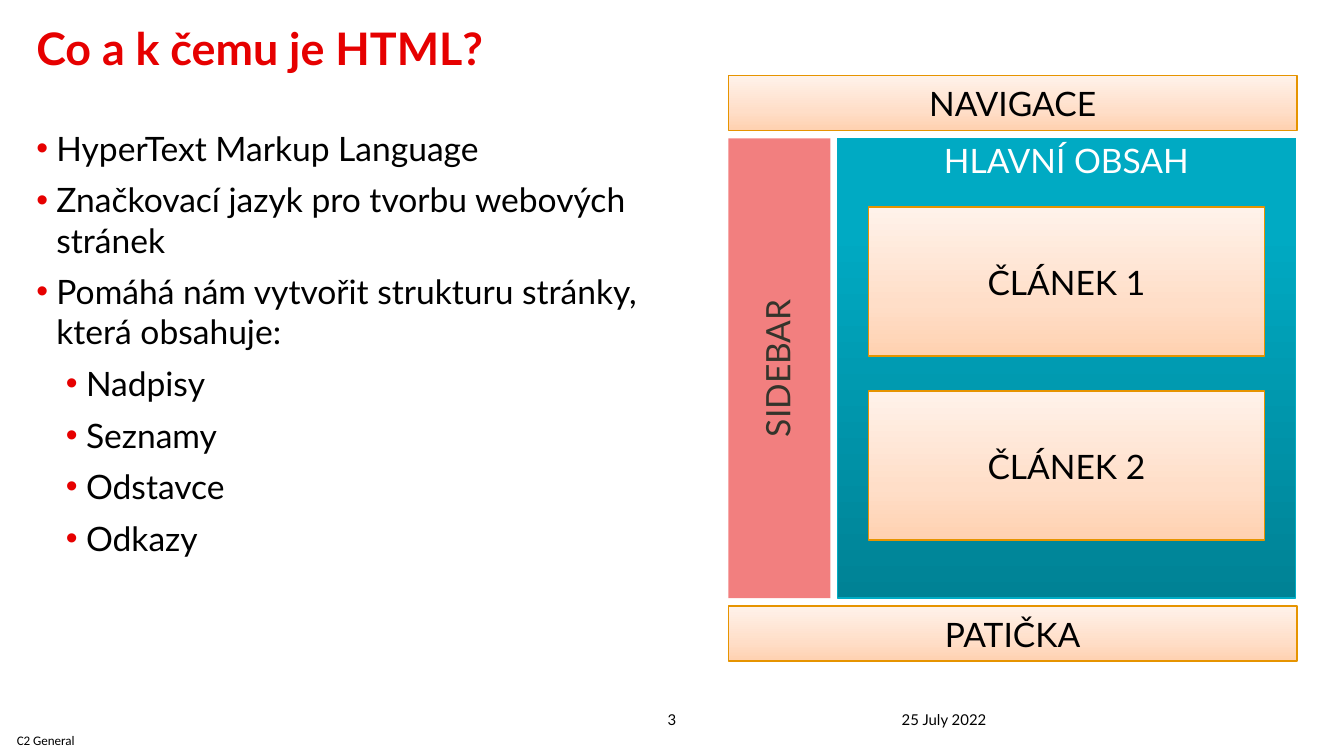
from lxml.etree import SubElement
from pptx import Presentation
from pptx.dml.color import RGBColor
from pptx.enum.shapes import MSO_SHAPE
from pptx.enum.text import MSO_ANCHOR, MSO_AUTO_SIZE, PP_ALIGN
from pptx.oxml import parse_xml
from pptx.oxml.ns import nsdecls, qn
from pptx.util import Inches, Pt

SLIDE_WIDTH = 10
SLIDE_HEIGHT = SLIDE_WIDTH * 9 / 16
COLORS = {
    "red": "E60000", "black": "000000", "white": "FFFFFF", "charcoal": "34342B",
    "orange": "E69400", "teal": "00ACC5",
}
# Gradient stops as (percent, colour), running from bottom to top
GRADIENTS = {
    "peach": [(0, "FFD1B0"), (35, "FFDEC8"), (100, "FFF2EA")],
    "teal": [(0, "008295"), (80, "00AAC3"), (100, "00ABC4")],
}
FORMATS = {
    "title": {"size": Pt(24), "name": "Lato", "bold": True},
    "text": {"size": Pt(18), "name": "Lato"},
    "footer": {"size": Pt(8), "name": "Lato"},
    "label": {"size": Pt(7), "name": "Calibri"},
}
BULLETS = [
    (0, "HyperText Markup Language"),
    (0, "Značkovací jazyk pro tvorbu webových stránek"),
    (0, "Pomáhá nám vytvořit strukturu stránky, která obsahuje:"),
    (1, "Nadpisy"),
    (1, "Seznamy"),
    (1, "Odstavce"),
    (1, "Odkazy"),
]
INDENTS = [0.15, 0.37]


def place(shape, box):
    for side, length in zip(("left", "top", "width", "height"), box):
        setattr(shape, side, Inches(length))


def set_frame(frame, anchor=MSO_ANCHOR.TOP, inset=0, wrap=True):
    settings = {"auto_size": MSO_AUTO_SIZE.NONE, "word_wrap": wrap, "vertical_anchor": anchor}
    for side in ("left", "top", "right", "bottom"):
        settings[f"margin_{side}"] = Inches(inset)
    for name, value in settings.items():
        setattr(frame, name, value)


def write(paragraph, text, style, color="black", align=PP_ALIGN.LEFT):
    paragraph.alignment = align
    run = paragraph.add_run()
    run.text = text
    for name, value in FORMATS[style].items():
        setattr(run.font, name, value)
    run.font.color.rgb = RGBColor.from_string(COLORS[color])


def add_bullet(paragraph, indent):
    properties = paragraph._p.get_or_add_pPr()
    properties.set("marL", str(Inches(indent)))
    properties.set("indent", str(-Inches(INDENTS[0])))
    bullet_color = SubElement(properties, qn("a:buClr"))
    SubElement(bullet_color, qn("a:srgbClr"), val=COLORS["red"])
    SubElement(properties, qn("a:buFont"), typeface="Arial")
    SubElement(properties, qn("a:buChar"), char="•")


def fill_gradient(shape, stops):
    marks = "".join(
        f'<a:gs pos="{percent * 1000}"><a:srgbClr val="{color}"/></a:gs>'
        for percent, color in stops
    )
    gradient = parse_xml(
        f'<a:gradFill {nsdecls("a")} rotWithShape="1"><a:gsLst>{marks}</a:gsLst>'
        '<a:lin ang="16200000" scaled="0"/></a:gradFill>'
    )
    shape._element.spPr.find(qn("a:prstGeom")).addnext(gradient)


def add_block(slide, box, text, color="black", anchor=MSO_ANCHOR.MIDDLE):
    block = slide.shapes.add_shape(MSO_SHAPE.RECTANGLE, *map(Inches, box))
    block.shadow.inherit = False
    set_frame(block.text_frame, anchor, 0.01)
    write(block.text_frame.paragraphs[0], text, "text", color, PP_ALIGN.CENTER)
    return block


def add_gradient_block(slide, box, text, gradient="peach", line="orange", **options):
    block = add_block(slide, box, text, **options)
    fill_gradient(block, GRADIENTS[gradient])
    block.line.color.rgb = RGBColor.from_string(COLORS[line])
    block.line.width = Pt(0.75)


def add_sidebar(slide, box):
    # Turned a quarter, so width and height swap around the same centre
    left, top, width, height = box
    shift = (height - width) / 2
    sidebar = add_block(slide, (left - shift, top + shift, height, width), "SIDEBAR", "charcoal")
    sidebar.rotation = 270
    sidebar.text_frame.paragraphs[0].line_spacing = 0.9
    sidebar.fill.solid()
    sidebar.fill.fore_color.rgb = RGBColor.from_string(COLORS["red"])
    color = sidebar._element.spPr.find(qn("a:solidFill")).find(qn("a:srgbClr"))
    SubElement(color, qn("a:alpha"), val="50000")
    sidebar.line.fill.background()


def add_page_layout(slide, box):
    left, top, width, height = box
    bar, gap, side = 0.41, 0.06, 0.76
    middle_top = top + bar + gap
    middle_height = height - 2 * (bar + gap)
    main_left = left + side + 0.05
    main_width = width - side - gap

    # Navigation, sidebar and main content
    add_gradient_block(slide, (left, top, width, bar), "NAVIGACE")
    add_sidebar(slide, (left, middle_top, side, middle_height))
    add_gradient_block(
        slide, (main_left, middle_top, main_width, middle_height), "HLAVNÍ OBSAH",
        "teal", "teal", color="white", anchor=MSO_ANCHOR.TOP,
    )

    # Articles inside the main content
    inset = 0.23
    for index in range(2):
        article_top = middle_top + 0.51 + index * 1.37
        article = (main_left + inset, article_top, main_width - 2 * inset, 1.11)
        add_gradient_block(slide, article, f"ČLÁNEK {index + 1}")

    # Page footer
    add_gradient_block(slide, (left, top + height - bar, width, bar), "PATIČKA")


def fill_title(slide, box):
    title = slide.shapes.title
    place(title, box)
    set_frame(title.text_frame)
    heading = title.text_frame.paragraphs[0]
    write(heading, "Co a k čemu je HTML?", "title", "red")
    heading.line_spacing = 0.8


def fill_body(slide, box):
    body = slide.placeholders[1]
    place(body, box)
    frame = body.text_frame
    set_frame(frame)
    for index, (level, text) in enumerate(BULLETS):
        item = frame.add_paragraph() if index else frame.paragraphs[0]
        item.level = level
        add_bullet(item, INDENTS[level])
        item.space_before = Pt(6 if index else 0)
        write(item, text, "text")


def add_note(slide, box, text, style, anchor, align, wrap=True):
    note = slide.shapes.add_textbox(*map(Inches, box))
    set_frame(note.text_frame, anchor, wrap=wrap)
    write(note.text_frame.paragraphs[0], text, style, align=align)


def add_footer(slide, box):
    left, top, width, height = box
    line = 0.14
    add_note(slide, (left, top + height - line, 0.68, line), "C2 General", "label",
             MSO_ANCHOR.MIDDLE, PP_ALIGN.CENTER)
    add_note(slide, (left + (width - line) / 2, top, line, line), "3", "footer",
             MSO_ANCHOR.BOTTOM, PP_ALIGN.CENTER, wrap=False)
    add_note(slide, (left + 6.71, top, 2.33, line), "25 July 2022", "footer",
             MSO_ANCHOR.BOTTOM, PP_ALIGN.LEFT)


def main():
    presentation = Presentation()
    presentation.slide_width = Inches(SLIDE_WIDTH)
    presentation.slide_height = Inches(SLIDE_HEIGHT)
    slide = presentation.slides.add_slide(presentation.slide_layouts[1])
    add_footer(slide, (0, 5.28, SLIDE_WIDTH, 0.3))
    fill_body(slide, (0.27, 0.95, 4.61, 3.94))
    fill_title(slide, (0.27, 0.23, 9.44, 0.73))
    add_page_layout(slide, (5.42, 0.56, 4.23, 4.36))
    presentation.save("out.pptx")


if __name__ == "__main__":
    main()
